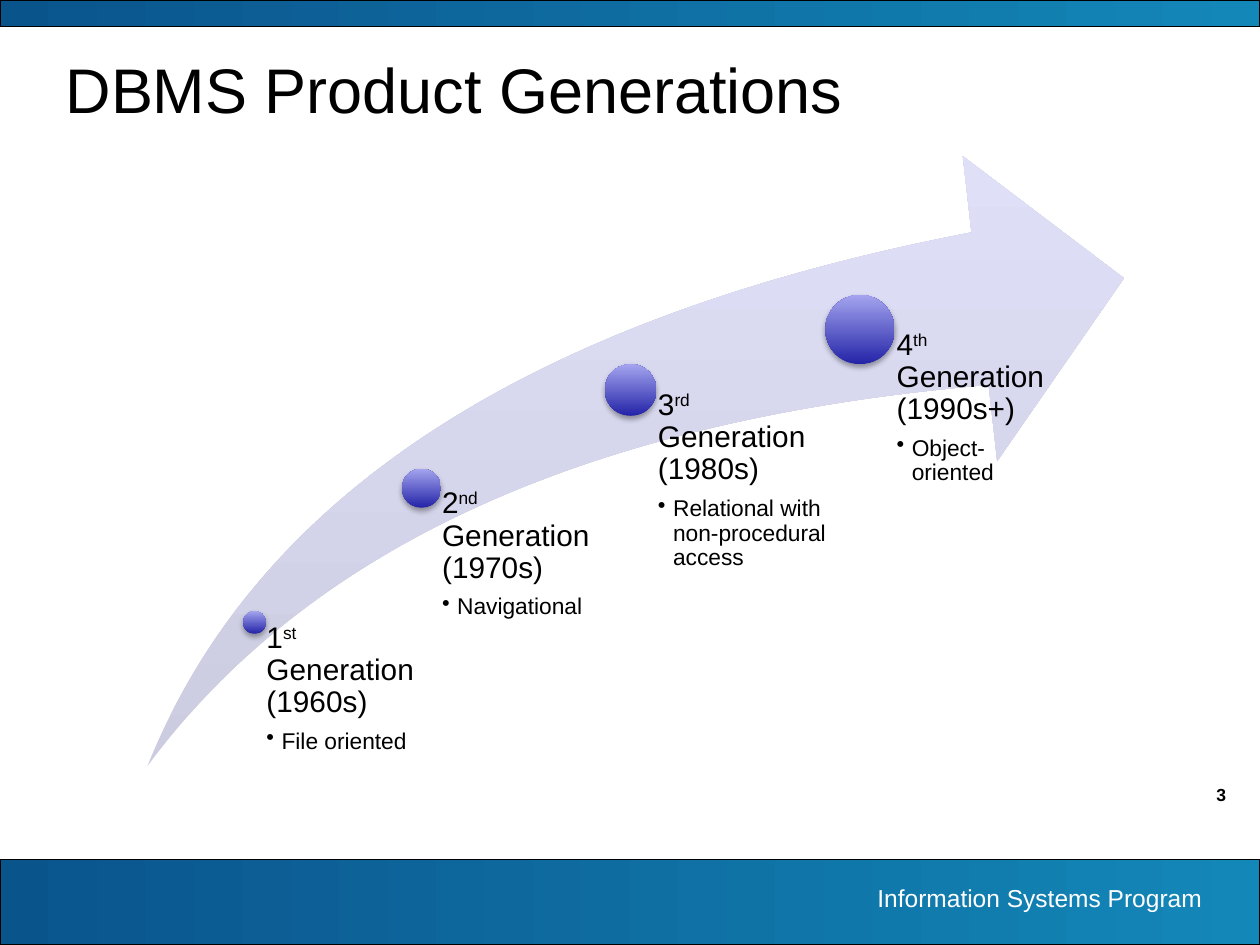
"""Build the DBMS product generations slide."""
from dataclasses import dataclass

from lxml import etree
from pptx import Presentation
from pptx import util as u
from pptx.dml import color
from pptx.enum import shapes, text
from pptx.oxml import ns


@dataclass(frozen=True)
class Theme:
    """Colours, font and type sizes of the slide."""

    face: str = "Arial"
    ink: str = "000000"
    pale: str = "FFFFFF"
    band: tuple = ("0A548C", "1387B8")
    arrow: tuple = ("CCCCE0", "DFDFF8")
    ball: tuple = ("2424A8", "A4A4EF")
    title: int = 36
    head: int = 17
    item: int = 13
    foot: int = 14
    page: int = 10


LOOK = Theme()
FLOOR = 6.09
STAGES = [
    (2.02, 4.94, 0.18, 1.33, "1", "st", "1960s", "File oriented"),
    (3.345, 3.875, 0.31, 1.63, "2", "nd", "1970s", "Navigational"),
    (5.005, 3.095, 0.41, 1.63, "3", "rd", "1980s",
     "Relational with non-procedural access"),
    (6.825, 2.615, 0.55, 1.63, "4", "th", "1990s+", "Object-oriented"),
]


def apply(item, **form):
    """Set each format value as an attribute of the item."""
    for name, value in form.items():
        setattr(item, name, value)


def place(*box):
    """Turn a box of inches into lengths."""
    return [u.Inches(value) for value in box]


def add_run(para, words, size, tint=LOOK.ink, bold=False, raised=False):
    """Add one styled run, raised if it is a superscript."""
    run = para.add_run()
    run.text = words
    apply(run.font, name=LOOK.face, size=u.Pt(size), bold=bold)
    run.font.color.rgb = color.RGBColor.from_string(tint)
    if raised:
        run.font._element.set("baseline", "30000")


def add_shape(slide, kind, box, stops, angle, edge=False):
    """Add a gradient shape with a thin edge or none."""
    shape = slide.shapes.add_shape(kind, *place(*box))
    shape.shadow.inherit = False
    shape.fill.gradient()
    shape.fill.gradient_angle = angle
    for stop, tint, spot in zip(shape.fill.gradient_stops, stops, (0, 1)):
        stop.color.rgb = color.RGBColor.from_string(tint)
        stop.position = spot
    if edge:
        shape.line.color.rgb = color.RGBColor.from_string(LOOK.ink)
        shape.line.width = u.Pt(0.75)
    else:
        shape.line.fill.background()
    return shape


def add_shade(shape):
    """Put a soft shadow below a shape."""
    glow = shape._element.spPr.find(ns.qn("a:effectLst"))
    shade = etree.SubElement(glow, ns.qn("a:outerShdw"), blurRad=str(u.Pt(3.1)),
                             dist=str(u.Pt(1.8)), dir="5400000", rotWithShape="0")
    tint = etree.SubElement(shade, ns.qn("a:srgbClr"), val=LOOK.ink)
    etree.SubElement(tint, ns.qn("a:alpha"), val="35000")


def add_box(slide, box, **form):
    """Add a wrapping text box and return its frame."""
    frame = slide.shapes.add_textbox(*place(*box)).text_frame
    apply(frame, word_wrap=True, **form)
    return frame


def add_label(slide, box, words, size, tint, bold=False):
    """Add one right-aligned line."""
    para = add_box(slide, box).paragraphs[0]
    para.alignment = text.PP_ALIGN.RIGHT
    add_run(para, words, size, tint, bold)


def add_bullet(para):
    """Give a paragraph a hanging bullet."""
    props = para._p.get_or_add_pPr()
    hang = u.Inches(0.12)
    props.set("marL", str(hang))
    props.set("indent", str(-hang))
    etree.SubElement(props, ns.qn("a:buChar"), char="•")


def add_stage(slide, x, y, size, wide, rank, suffix, years, note):
    """Add a ball centred on a point and the text that hangs from it."""
    half = size / 2
    ball = add_shape(slide, shapes.MSO_SHAPE.OVAL,
                     (x - half, y - half, size, size), LOOK.ball, 90)
    add_shade(ball)
    frame = add_box(slide, (x, y, wide, FLOOR - y), margin_top=0, margin_right=0,
                    margin_bottom=0, margin_left=u.Inches(half * 1.06))
    head, item = frame.paragraphs[0], frame.add_paragraph()
    apply(head, line_spacing=0.9, space_after=u.Pt(6))
    apply(item, line_spacing=0.9, space_after=u.Pt(2), level=1)
    add_run(head, rank, LOOK.head)
    add_run(head, suffix, LOOK.head, raised=True)
    add_run(head, f" Generation ({years})", LOOK.head)
    add_bullet(item)
    add_run(item, note, LOOK.item)


def set_title(slide, words):
    """Move and format the title placeholder."""
    title = slide.shapes.title
    left, top, width, height = place(0.42, 0.33, 9.17, 0.75)
    apply(title, left=left, top=top, width=width, height=height)
    title.text_frame.vertical_anchor = text.MSO_ANCHOR.MIDDLE
    para = title.text_frame.paragraphs[0]
    para.alignment = text.PP_ALIGN.LEFT
    add_run(para, words, LOOK.title)


def main():
    """Build and save the slide."""
    deck = Presentation()
    apply(deck, slide_width=u.Inches(10), slide_height=u.Inches(7.5))
    slide = deck.slides.add_slide(deck.slide_layouts[5])
    add_label(slide, (9, 6.17, 0.83, 0.27), "3", LOOK.page, LOOK.ink, True)
    for top, high in ((6.82, 0.68), (0, 0.21)):
        add_shape(slide, shapes.MSO_SHAPE.RECTANGLE, (0, top, 10, high),
                  LOOK.band, 0, edge=True)
    add_label(slide, (5.55, 6.96, 4.09, 0.34), "Information Systems Program",
              LOOK.foot, LOOK.pale)
    set_title(slide, "DBMS Product Generations")
    arrow = add_shape(slide, shapes.MSO_SHAPE.SWOOSH_ARROW,
                      (1.17, 1.24, 7.75, 4.84), LOOK.arrow, 90)
    for spot in (0, 1):
        arrow.adjustments[spot] = 0.25
    for stage in STAGES:
        add_stage(slide, *stage)
    deck.save("out.pptx")


if __name__ == "__main__":
    main()
